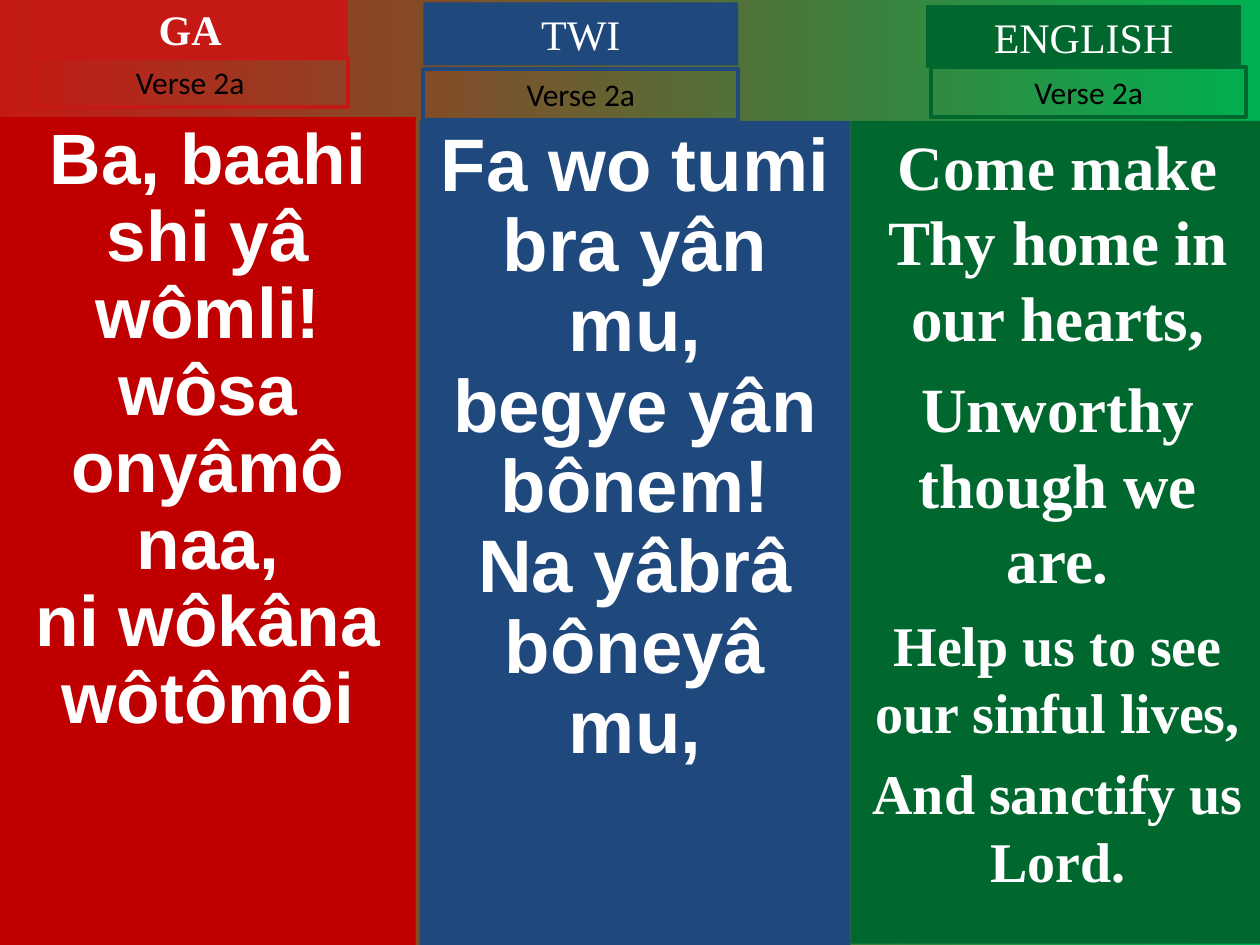
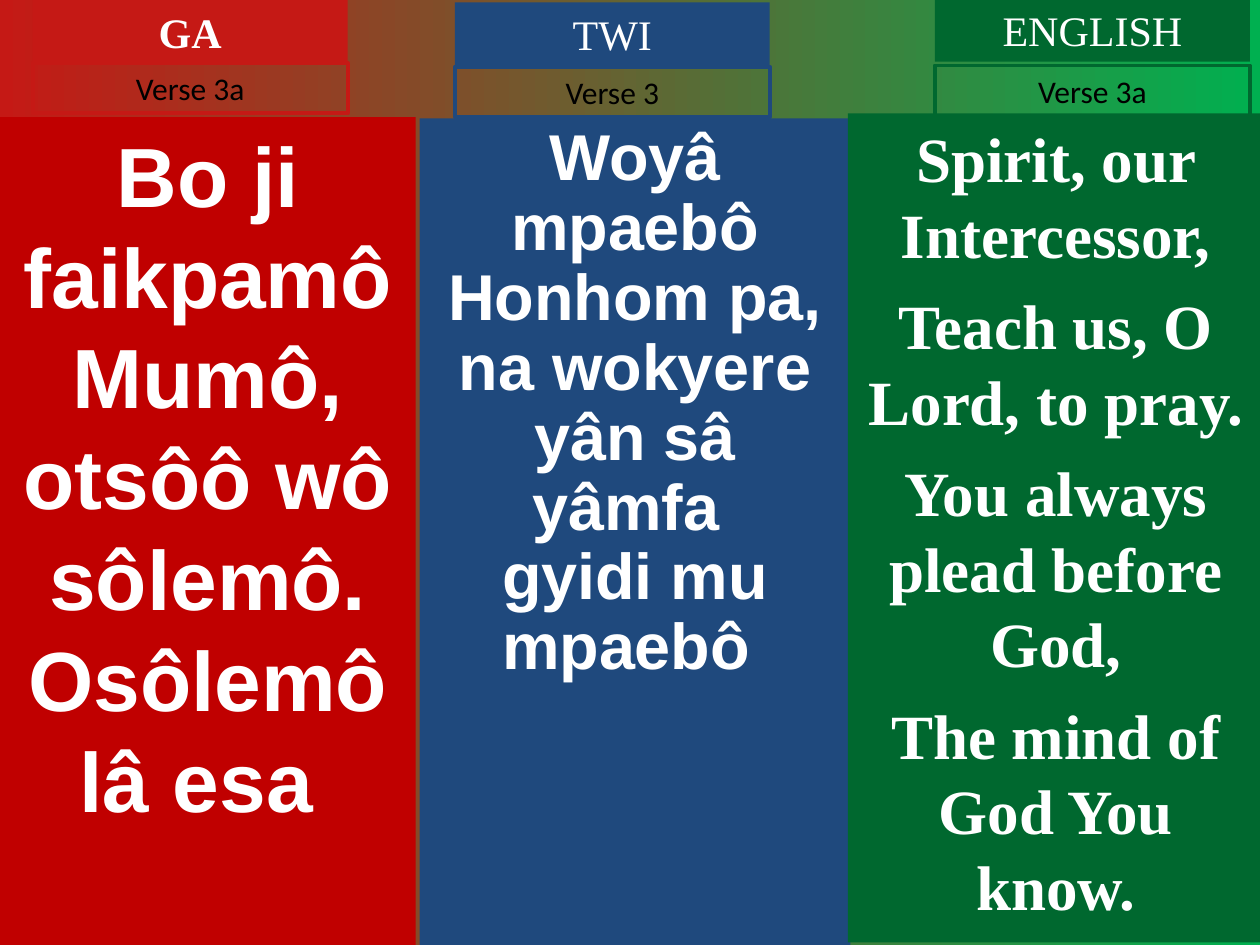
from dataclasses import dataclass

from pptx import Presentation
from pptx import util as u
from pptx.dml.color import RGBColor
from pptx.enum import shapes, text

RED, DEEP_RED = "C51915", "C00000"
BLUE, GREEN, BRIGHT_GREEN = "1F497D", "00682F", "00B050"
WHITE, BLACK = "FFFFFF", "000000"
SERIF, SANS, LABEL = "Times New Roman", "Arial", "Calibri"
TAB_WIDTH, TITLE_HEIGHT, VERSE_HEIGHT = 2.5, 0.5, 0.4


@dataclass
class Language:
    name: str
    accent: str
    panel: str
    font: str
    bold_title: bool = False


@dataclass
class Column:
    """One language's part of a slide: panel box, tab places, verse and lines."""
    language: Language
    panel_box: tuple
    title_at: tuple
    verse_at: tuple
    verse: str
    lines: list
    sizes: list
    line_spacing: float = 1.0
    space_before: tuple = ()


GA = Language("GA", RED, DEEP_RED, SANS, bold_title=True)
TWI = Language("TWI", BLUE, BLUE, SANS)
ENGLISH = Language("ENGLISH", GREEN, GREEN, SERIF)

SLIDES = [
    [
        Column(GA, (0, 0.93, 3.3, 6.57), (0.26, -0.02), (0.26, 0.45), "Verse 2a",
               ["Ba, baahi shi yâ wômli!", "wôsa onyâmô naa,", "ni wôkâna wôtômôi"],
               [40.7] * 3, 0.9),
        Column(TWI, (3.33, 0.96, 3.42, 6.54), (3.36, 0.02), (3.36, 0.55), "Verse 2a",
               ["Fa wo tumi bra yân mu,", "begye yân bônem!", "Na yâbrâ bôneyâ mu,"],
               [42.5] * 3, 0.9),
        Column(ENGLISH, (6.75, 0.96, 3.29, 6.53), (7.35, 0.04), (7.39, 0.53), "Verse 2a",
               ["Come make Thy home in our hearts,", "Unworthy though we are.",
                "Help us to see our sinful lives,", "And sanctify us Lord."],
               [36, 36, 32, 32], space_before=(0, 9, 8, 8)),
    ],
    [
        Column(GA, (0, 0.93, 3.3, 6.57), (0.26, 0), (0.26, 0.5), "Verse 3a",
               ["Bo ji faikpamô Mumô,", "otsôô wô sôlemô.", "Osôlemô lâ esa "],
               [48] * 3),
        Column(TWI, (3.33, 0.94, 3.42, 6.56), (3.61, 0.02), (3.61, 0.53), "Verse 3",
               ["Woyâ mpaebô Honhom pa,", "na wokyere yân sâ", "yâmfa ",
                "gyidi mu mpaebô "],
               [37] * 4, 0.9),
        Column(ENGLISH, (6.73, 0.9, 3.3, 6.58), (7.42, -0.01), (7.42, 0.52), "Verse 3a",
               ["Spirit, our Intercessor,", "Teach us, O Lord, to pray.",
                "You always plead before God,", "The mind of God You know."],
               [36] * 4, space_before=(0, 9, 9, 9)),
    ],
]


def color(value):
    return RGBColor.from_string(value)


def set_values(target, values):
    for name, value in values.items():
        setattr(target, name, value)


def paint_background(slide):
    fill = slide.background.fill
    fill.gradient()
    fill.gradient_angle = 0
    for stop, value, position in zip(fill.gradient_stops, (RED, BRIGHT_GREEN), (0, 1)):
        stop.color.rgb = color(value)
        stop.position = position


def add_box(slide, box, fill=None, line=None):
    shape = slide.shapes.add_shape(
        shapes.MSO_SHAPE.RECTANGLE, *(u.Inches(length) for length in box))
    shape.shadow.inherit = False
    if fill:
        shape.fill.solid()
        shape.fill.fore_color.rgb = color(fill)
    else:
        shape.fill.background()
    if line:
        shape.line.color.rgb = color(line)
        shape.line.width = u.Pt(2.25)
    else:
        shape.line.fill.background()
    set_values(shape.text_frame, {
        "word_wrap": True,
        "vertical_anchor": text.MSO_ANCHOR.TOP,
        "auto_size": text.MSO_AUTO_SIZE.NONE,
    })
    return shape


def write_line(paragraph, words, font, size, font_color, bold=False, **spacing):
    set_values(paragraph, {"alignment": text.PP_ALIGN.CENTER, **spacing})
    run = paragraph.add_run()
    run.text = words
    set_values(run.font, {"name": font, "size": u.Pt(size), "bold": bold})
    run.font.color.rgb = color(font_color)


def add_panel(slide, column):
    language = column.language
    frame = add_box(slide, column.panel_box, fill=language.panel).text_frame
    gaps = column.space_before or [0] * len(column.lines)
    for index, (words, size, gap) in enumerate(zip(column.lines, column.sizes, gaps)):
        paragraph = frame.add_paragraph() if index else frame.paragraphs[0]
        write_line(paragraph, words, language.font, size, WHITE, bold=True,
                   line_spacing=column.line_spacing, space_before=u.Pt(gap))


def add_title(slide, column):
    language = column.language
    shape = add_box(slide, (*column.title_at, TAB_WIDTH, TITLE_HEIGHT), fill=language.accent)
    write_line(shape.text_frame.paragraphs[0], language.name, SERIF, 24, WHITE,
               language.bold_title)


def add_verse_label(slide, column):
    shape = add_box(slide, (*column.verse_at, TAB_WIDTH, VERSE_HEIGHT),
                    line=column.language.accent)
    write_line(shape.text_frame.paragraphs[0], column.verse, LABEL, 18, BLACK)


def main():
    presentation = Presentation()
    presentation.slide_width = u.Inches(10)
    presentation.slide_height = u.Inches(7.5)
    for columns in SLIDES:
        slide = presentation.slides.add_slide(presentation.slide_layouts[6])
        paint_background(slide)
        for column in columns:
            add_panel(slide, column)
            add_title(slide, column)
            add_verse_label(slide, column)
    presentation.save("out.pptx")


if __name__ == "__main__":
    main()
